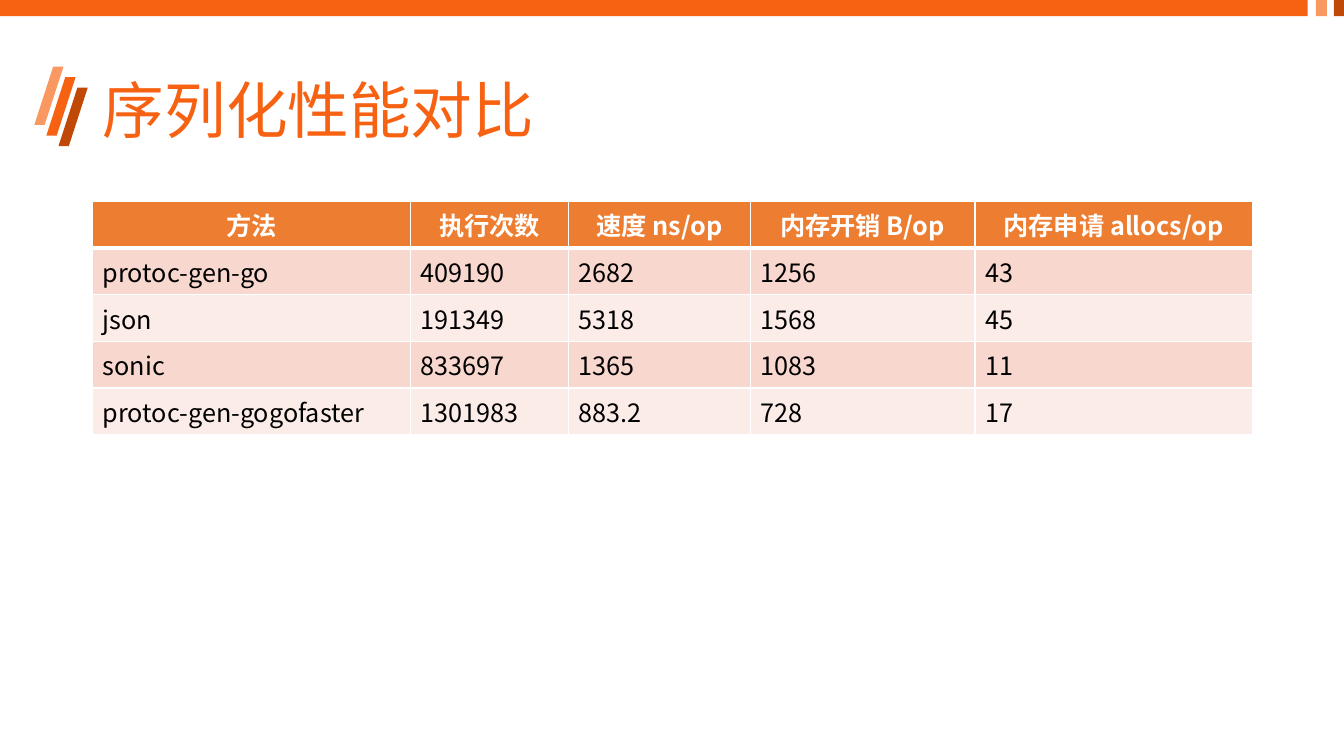
import pptx
import pptx.dml.color
import pptx.enum.shapes
import pptx.enum.text
import pptx.oxml
import pptx.oxml.ns
import pptx.util

Inches = pptx.util.Inches
RGB = pptx.dml.color.RGBColor
Shape = pptx.enum.shapes.MSO_SHAPE
Align = pptx.enum.text.PP_ALIGN

FONT = "Noto Sans CJK SC"
ORANGE = RGB(0xF7, 0x62, 0x12)
LIGHT = RGB(0xFA, 0x98, 0x62)
DARK = RGB(0xC1, 0x49, 0x07)
HEAD = RGB(0xED, 0x7D, 0x31)
BANDS = [RGB(0xF8, 0xD7, 0xCE), RGB(0xFC, 0xEC, 0xE8)]
WHITE = RGB(0xFF, 0xFF, 0xFF)
BLACK = RGB(0, 0, 0)

WIDTHS = [3.15, 1.57, 1.8, 2.23, 2.75]
ROWS = [
    ["方法", "执行次数", "速度 ns/op", "内存开销 B/op", "内存申请 allocs/op"],
    ["protoc-gen-go", "409190", "2682", "1256", "43"],
    ["json", "191349", "5318", "1568", "45"],
    ["sonic", "833697", "1365", "1083", "11"],
    ["protoc-gen-gogofaster", "1301983", "883.2", "728", "17"],
]


def add_block(slide, kind, left, top, width, height, color):
    block = slide.shapes.add_shape(
        kind, Inches(left), Inches(top), Inches(width), Inches(height))
    block.shadow.inherit = False
    block.fill.solid()
    block.fill.fore_color.rgb = color
    block.line.fill.background()
    return block


def add_run(para, text, size, color, bold=False):
    run = para.add_run()
    run.text = text
    font = run.font
    font.name = FONT
    font.size = pptx.util.Pt(size)
    font.bold = bold
    font.color.rgb = color
    east = pptx.oxml.parse_xml(
        f'<a:ea {pptx.oxml.ns.nsdecls("a")} typeface="{FONT}"/>')
    font._element.find(pptx.oxml.ns.qn("a:latin")).addnext(east)


def set_edges(cell, top, base):
    props = cell._tc.get_or_add_tcPr()
    for side, width in (("L", 1), ("R", 1), ("T", top), ("B", base)):
        props.append(pptx.oxml.parse_xml(
            f'<a:ln{side} {pptx.oxml.ns.nsdecls("a")} w="{pptx.util.Pt(width)}">'
            f'<a:solidFill><a:srgbClr val="{WHITE}"/></a:solidFill></a:ln{side}>'))


def add_bars(slide):
    for left, width, color in ((0, 12.97, ORANGE), (13.05, 0.11, LIGHT),
                               (13.23, 0.11, DARK)):
        add_block(slide, Shape.RECTANGLE, left, 0, width, 0.16, color)


def add_mark(slide):
    for i, color in enumerate((LIGHT, ORANGE, DARK)):
        slash = add_block(slide, Shape.PARALLELOGRAM, 0.34 + 0.12 * i,
                          0.66 + 0.105 * i, 0.29, 0.58, color)
        slash.adjustments[0] = 0.646


def set_title(slide, text):
    title = slide.shapes.title
    title.left, title.top = Inches(0.92), Inches(0.4)
    title.width, title.height = Inches(11.5), Inches(1.45)
    frame = title.text_frame
    frame.vertical_anchor = pptx.enum.text.MSO_ANCHOR.MIDDLE
    para = frame.paragraphs[0]
    para.alignment = Align.LEFT
    para.line_spacing = 0.9
    add_run(para, text, 44, ORANGE)


def add_grid(slide):
    frame = slide.shapes.add_table(
        len(ROWS), len(WIDTHS), Inches(0.92), Inches(2),
        Inches(sum(WIDTHS)), Inches(0.41 * len(ROWS)))
    table = frame.table
    for col, width in zip(table.columns, WIDTHS):
        col.width = Inches(width)
    for r, row in enumerate(ROWS):
        head = r == 0
        for c, text in enumerate(row):
            cell = table.cell(r, c)
            set_edges(cell, 3 if r == 1 else 1, 3 if head else 1)
            cell.fill.solid()
            cell.fill.fore_color.rgb = HEAD if head else BANDS[(r - 1) % 2]
            para = cell.text_frame.paragraphs[0]
            para.alignment = Align.CENTER if head else Align.LEFT
            add_run(para, text, 18, WHITE if head else BLACK, head)


def main():
    deck = pptx.Presentation()
    deck.slide_width, deck.slide_height = Inches(13.33), Inches(7.5)
    slide = deck.slides.add_slide(deck.slide_layouts[5])
    add_mark(slide)
    add_bars(slide)
    set_title(slide, "序列化性能对比")
    add_grid(slide)
    deck.save("out.pptx")


if __name__ == "__main__":
    main()
